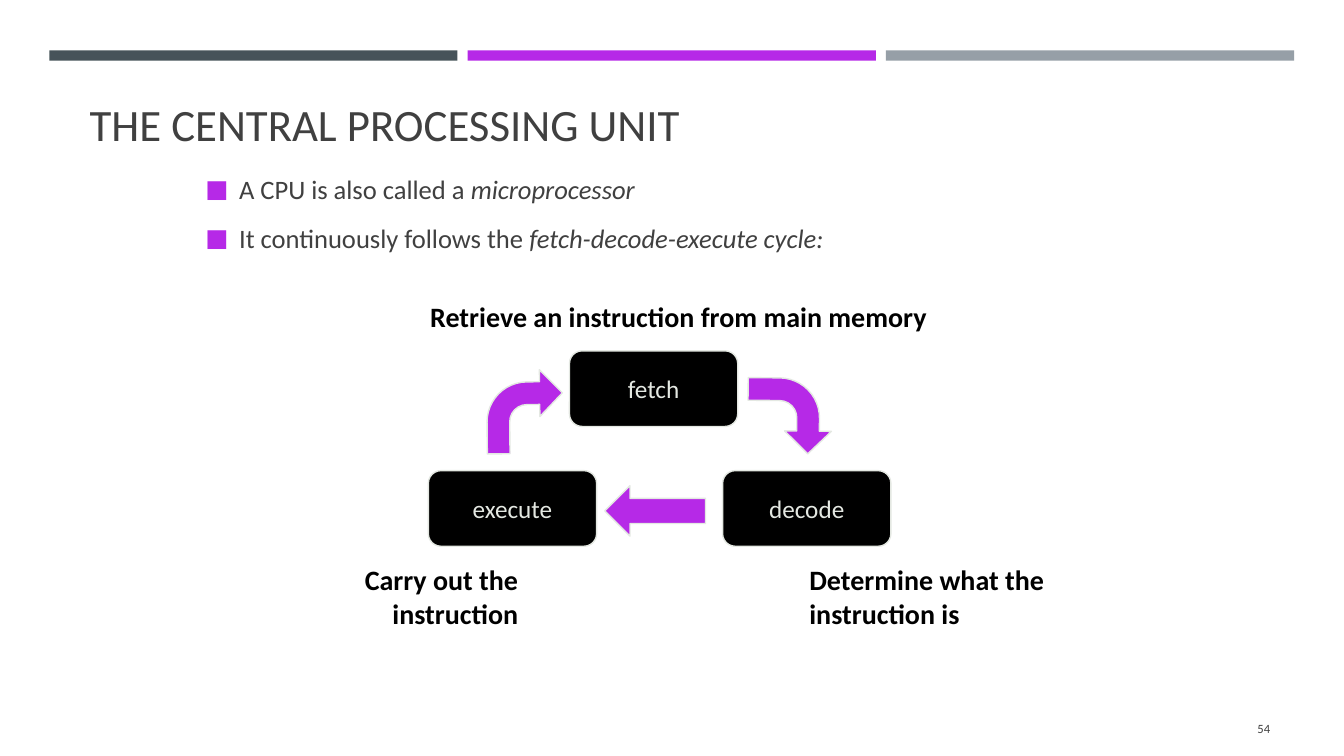
from pptx import Presentation
from pptx.dml.color import RGBColor
from pptx.enum.shapes import MSO_SHAPE as SHAPE
from pptx.enum.text import MSO_ANCHOR as ANCHOR, PP_ALIGN as ALIGN
from pptx.oxml import parse_xml
from pptx.oxml.ns import nsdecls
from pptx.util import Pt

THEME = {
    "font": "Calibri",
    "slate": "465359", "purple": "B629E7", "grey": "969FA7",
    "text": "404040", "black": "000000", "pale": "E4E8E2",
    "title": 32, "body": 19, "label": 20, "box": 18, "number": 9,
}


def add_shape(kind, x, y, w, h, fill, outlined=True):
    sp = s.shapes.add_shape(kind, Pt(x), Pt(y), Pt(w), Pt(h))
    sp.shadow.inherit = False
    sp.fill.solid()
    sp.fill.fore_color.rgb = RGBColor.from_string(THEME[fill])
    if outlined:
        sp.line.color.rgb = RGBColor.from_string(THEME["pale"])
        sp.line.width = Pt(1)
    else:
        sp.line.fill.background()
    return sp


def write(sp, paragraphs, size, color, align=ALIGN.LEFT, bold=False, **frame):
    tf = sp.text_frame
    for name, value in frame.items():
        setattr(tf, name, value)
    for i, runs in enumerate(paragraphs):
        p = tf.paragraphs[0] if i == 0 else tf.add_paragraph()
        p.alignment = align
        for text, italic in runs:
            r = p.add_run()
            r.text = text
            look = {"name": THEME["font"], "size": Pt(THEME[size]),
                    "bold": bold, "italic": italic}
            for name, value in look.items():
                setattr(r.font, name, value)
            r.font.color.rgb = RGBColor.from_string(THEME[color])
    return tf


prs = Presentation()
prs.slide_width, prs.slide_height = Pt(960), Pt(540)
s = prs.slides.add_slide(prs.slide_layouts[6])

for i, color in enumerate(["slate", "purple", "grey"]):
    add_shape(SHAPE.RECTANGLE, 35.2 + 298.8 * i, 36, 291.6, 7.4, color, False)

title = s.shapes.add_textbox(Pt(56.9), Pt(17.3), Pt(868.3), Pt(93.6))
write(title, [[("THE CENTRAL PROCESSING UNIT", False)]], "title", "text",
      vertical_anchor=ANCHOR.BOTTOM, word_wrap=True)

body = s.shapes.add_textbox(Pt(139.7), Pt(118), Pt(653.8), Pt(86.4))
tf = write(body, [
    [("A CPU is also called a ", False), ("microprocessor", True)],
    [("It continuously follows the ", False), ("fetch-decode-execute cycle:", True)],
], "body", "text", word_wrap=True)
for i, p in enumerate(tf.paragraphs):
    p.line_spacing = 1.1
    p.space_before = Pt(3.8 if i else 0)
    p.space_after = Pt(6)
    pPr = p._p.get_or_add_pPr()
    pPr.set("marL", str(Pt(24)))
    pPr.set("indent", str(Pt(-24)))
    for xml in (
        f'<a:buClr {nsdecls("a")}><a:srgbClr val="{THEME["purple"]}"/></a:buClr>',
        f'<a:buSzPct {nsdecls("a")} val="92000"/>',
        f'<a:buFont {nsdecls("a")} typeface="{THEME["font"]}"/>',
        f'<a:buChar {nsdecls("a")} char="■"/>',
    ):
        pPr.append(parse_xml(xml))

for x, y, stage in [(406.8, 250.6, "fetch"), (516.2, 336.2, "decode"),
                    (306, 336.2, "execute")]:
    box = add_shape(SHAPE.ROUNDED_RECTANGLE, x, y, 120.2, 54, "black")
    write(box, [[(stage, False)]], "box", "pale", ALIGN.CENTER,
          vertical_anchor=ANCHOR.MIDDLE, word_wrap=False)

bend = [0.3, 0.31, 0.3, 0.53]
for kind, x, y, w, h, rotation, adjustments in [
    (SHAPE.BENT_ARROW, 347.8, 264.2, 54, 59.8, 359.4, bend),
    (SHAPE.BENT_ARROW, 537.1, 267.1, 54, 59.8, 90.6, bend),
    (SHAPE.LEFT_ARROW, 432, 347, 72, 36, 0, [0.5, 0.5]),
]:
    arrow = add_shape(kind, x, y, w, h, "purple")
    arrow.rotation = rotation
    for i, value in enumerate(adjustments):
        arrow.adjustments[i] = value

for x, y, w, h, align, lines in [
    (300.2, 210.2, 382.3, 31, ALIGN.LEFT, ["Retrieve an instruction from main memory"]),
    (571, 398.2, 183.6, 55.4, ALIGN.LEFT, ["Determine what the", "instruction is"]),
    (252.7, 398.2, 124.6, 55.4, ALIGN.RIGHT, ["Carry out the", "instruction"]),
]:
    label = s.shapes.add_textbox(Pt(x), Pt(y), Pt(w), Pt(h))
    write(label, [[(line, False)] for line in lines], "label", "black", align,
          bold=True, word_wrap=False)

number = s.shapes.add_textbox(Pt(831.6), Pt(506.2), Pt(82.8), Pt(28.8))
write(number, [[("54", False)]], "number", "text", ALIGN.RIGHT,
      vertical_anchor=ANCHOR.MIDDLE, word_wrap=True)

prs.save("out.pptx")
